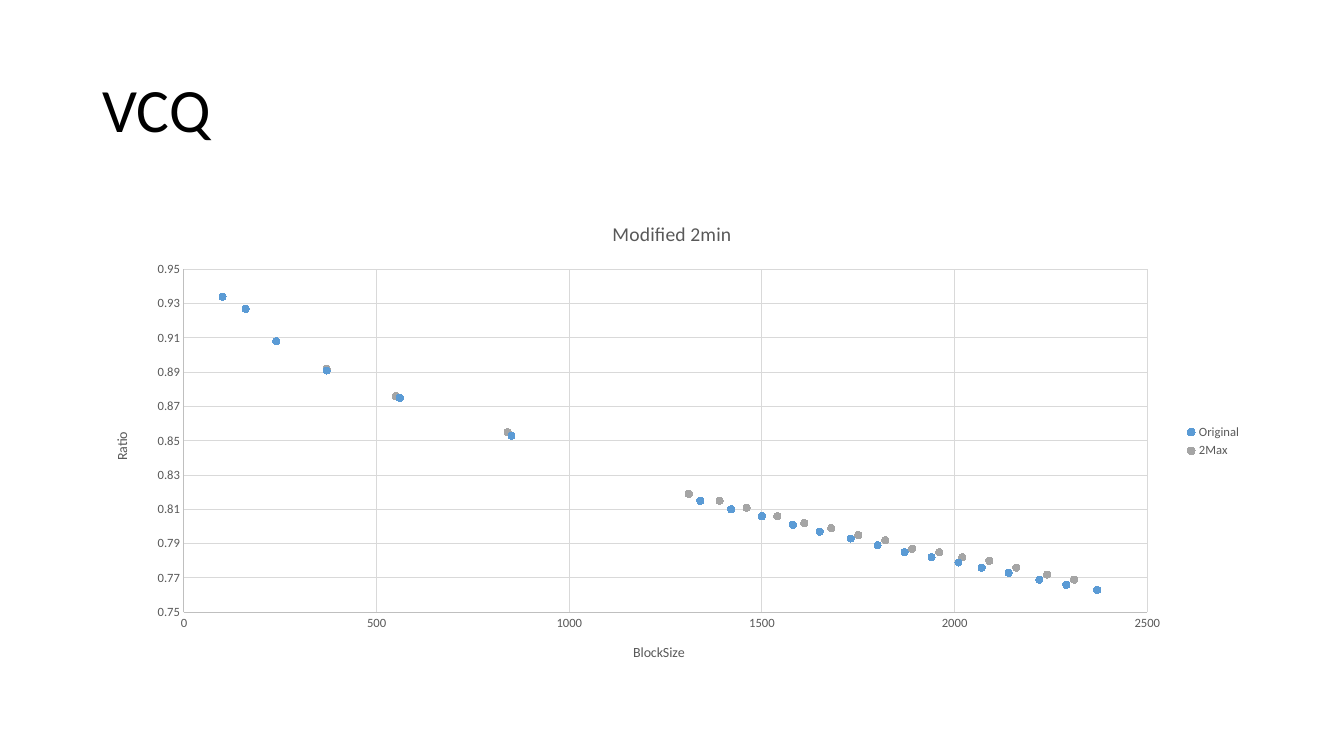
from dataclasses import dataclass

import pptx
import pptx.chart.axis
import pptx.chart.chart
import pptx.chart.data
import pptx.chart.series
import pptx.dml.color
import pptx.dml.line
import pptx.enum.chart
import pptx.enum.text
import pptx.slide
import pptx.text.text
import pptx.util

PX = 9525
FACE = "Calibri"
GREY = "595959"


@dataclass(frozen=True)
class Box:
    left: int
    top: int
    width: int
    height: int

    def emu(self) -> list[int]:
        return [n * PX for n in (self.left, self.top, self.width, self.height)]


@dataclass(frozen=True)
class Run:
    name: str
    color: str
    sizes: list[int]
    ratios: list[float]


@dataclass(frozen=True)
class Scale:
    title: str
    low: float
    high: float
    step: float


TITLE = Box(88, 38, 1104, 139)
PLOT = Box(88, 192, 1104, 457)

RUNS = [
    Run("Original", "5B9BD5",
        [100, 160, 240, 370, 560, 850, 1340, 1420, 1500, 1580, 1650,
         1730, 1800, 1870, 1940, 2010, 2070, 2140, 2220, 2290, 2370],
        [0.934, 0.927, 0.908, 0.891, 0.875, 0.853, 0.815, 0.81, 0.806, 0.801, 0.797,
         0.793, 0.789, 0.785, 0.782, 0.779, 0.776, 0.773, 0.769, 0.766, 0.763]),
    Run("2Max", "A5A5A5",
        [100, 160, 240, 370, 550, 840, 1310, 1390, 1460, 1540, 1610,
         1680, 1750, 1820, 1890, 1960, 2020, 2090, 2160, 2240, 2310],
        [0.934, 0.927, 0.908, 0.892, 0.876, 0.855, 0.819, 0.815, 0.811, 0.806, 0.802,
         0.799, 0.795, 0.792, 0.787, 0.785, 0.782, 0.78, 0.776, 0.772, 0.769]),
]

BLOCK = Scale("BlockSize", 0, 2500, 500)
RATIO = Scale("Ratio", 0.75, 0.95, 0.02)


def rgb(code: str) -> pptx.dml.color.RGBColor:
    return pptx.dml.color.RGBColor.from_string(code)


def style(font: pptx.text.text.Font, size: int, color: str = GREY) -> None:
    font.name = FACE
    font.size = pptx.util.Pt(size)
    font.bold = False
    font.color.rgb = rgb(color)


def write(frame: pptx.text.text.TextFrame, text: str, size: int, color: str = GREY) -> None:
    run = frame.paragraphs[0].add_run()
    run.text = text
    style(run.font, size, color)


def stroke(line: pptx.dml.line.LineFormat, color: str) -> None:
    line.color.rgb = rgb(color)
    line.width = pptx.util.Pt(0.75)


def set_axis(axis: pptx.chart.axis.ValueAxis, scale: Scale) -> None:
    axis.minimum_scale = scale.low
    axis.maximum_scale = scale.high
    axis.major_unit = scale.step
    axis.major_tick_mark = pptx.enum.chart.XL_TICK_MARK.NONE
    axis.minor_tick_mark = pptx.enum.chart.XL_TICK_MARK.NONE
    axis.has_major_gridlines = True
    stroke(axis.major_gridlines.format.line, "D9D9D9")
    stroke(axis.format.line, "BFBFBF")
    style(axis.tick_labels.font, 9)
    write(axis.axis_title.text_frame, scale.title, 10)


def set_dots(series: pptx.chart.series.XySeries, color: str) -> None:
    series.format.line.fill.background()
    mark = series.marker
    mark.style = pptx.enum.chart.XL_MARKER_STYLE.CIRCLE
    mark.size = 5
    mark.format.fill.solid()
    mark.format.fill.fore_color.rgb = rgb(color)
    stroke(mark.format.line, color)


def add_title(slide: pptx.slide.Slide) -> None:
    title = slide.shapes.title
    title.left, title.top, title.width, title.height = TITLE.emu()
    frame = title.text_frame
    frame.vertical_anchor = pptx.enum.text.MSO_ANCHOR.MIDDLE
    frame.paragraphs[0].alignment = pptx.enum.text.PP_ALIGN.LEFT
    frame.paragraphs[0].line_spacing = 0.9
    write(frame, "VCQ", 44, "000000")


def add_plot(slide: pptx.slide.Slide) -> None:
    data = pptx.chart.data.XyChartData()
    for run in RUNS:
        series = data.add_series(run.name)
        for size, ratio in zip(run.sizes, run.ratios):
            series.add_data_point(size, ratio)
    kind = pptx.enum.chart.XL_CHART_TYPE.XY_SCATTER
    chart = slide.shapes.add_chart(kind, *PLOT.emu(), data).chart
    style(chart.font, 10, "000000")
    write(chart.chart_title.text_frame, "Modified 2min", 14)
    chart.chart_title.include_in_layout = False
    chart.has_legend = True
    chart.legend.position = pptx.enum.chart.XL_LEGEND_POSITION.RIGHT
    chart.legend.include_in_layout = False
    style(chart.legend.font, 9)
    chart.plots[0].vary_by_categories = False
    set_axis(chart.category_axis, BLOCK)
    set_axis(chart.value_axis, RATIO)
    for series, run in zip(chart.plots[0].series, RUNS):
        series.smooth = False
        set_dots(series, run.color)


def main() -> None:
    deck = pptx.Presentation()
    deck.slide_width, deck.slide_height = 1280 * PX, 720 * PX
    slide = deck.slides.add_slide(deck.slide_layouts[5])
    add_title(slide)
    add_plot(slide)
    deck.save("out.pptx")


if __name__ == "__main__":
    main()
